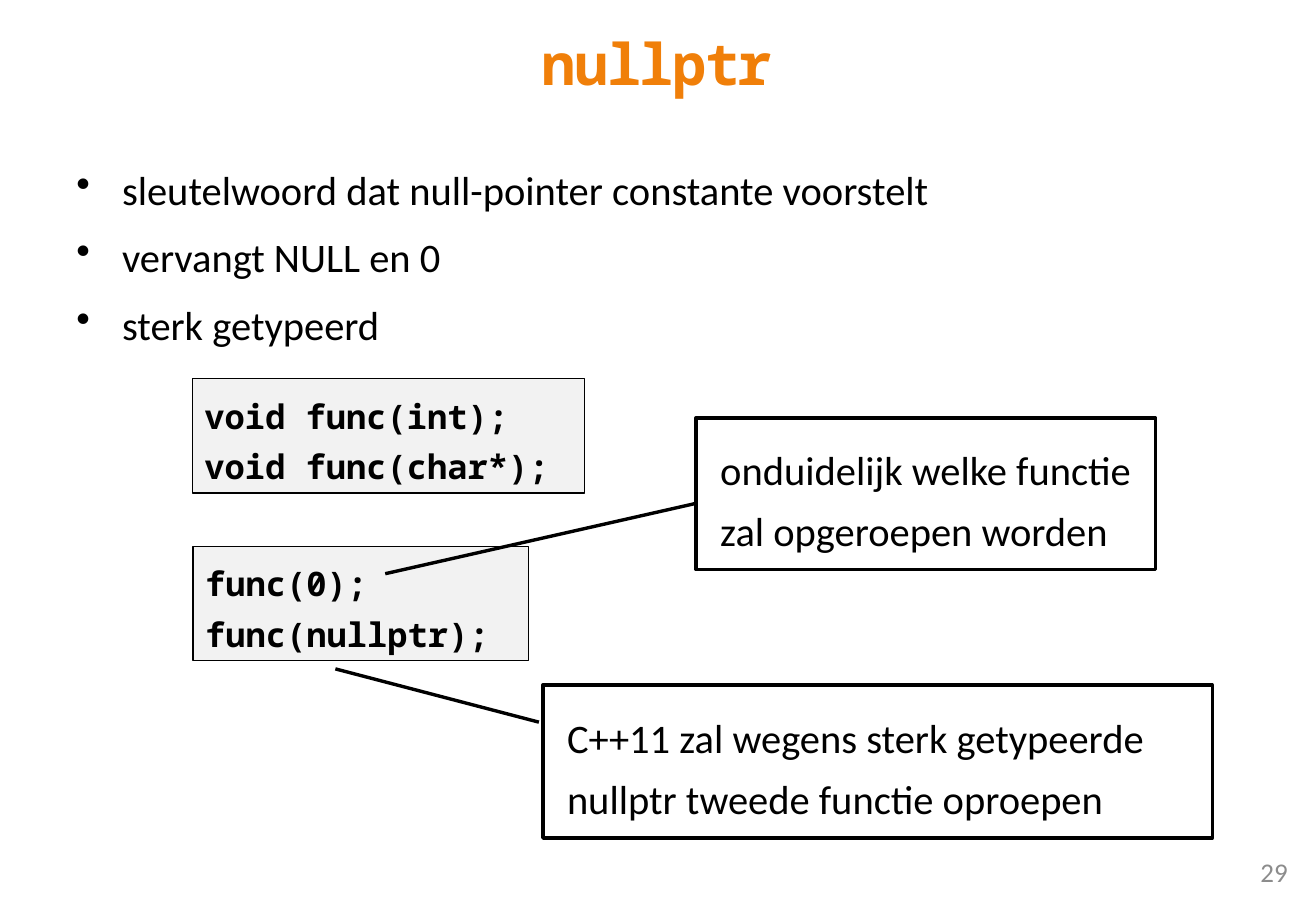
import pptx
import pptx.util
import pptx.dml.color
import pptx.enum.shapes
import pptx.enum.text
import pptx.oxml.ns
import lxml.etree

Pt = pptx.util.Pt
Shape = pptx.enum.shapes.MSO_SHAPE
Align = pptx.enum.text.PP_ALIGN
Anchor = pptx.enum.text.MSO_ANCHOR
Fit = pptx.enum.text.MSO_AUTO_SIZE


def color(code):
    return pptx.dml.color.RGBColor.from_string(code)


def write(frame, *lines, font="Calibri", size=24, ink="000000", bold=False,
          align=Align.LEFT, anchor=Anchor.MIDDLE, lead=None, left=0, hang=0,
          mark=None, track=0):
    frame.word_wrap = True
    frame.auto_size = Fit.NONE
    frame.vertical_anchor = anchor
    for i, line in enumerate(lines):
        para = frame.add_paragraph() if i else frame.paragraphs[0]
        para.alignment = align
        para.space_before = para.space_after = Pt(0)
        if lead:
            para.line_spacing = Pt(lead)
        props = para._p.get_or_add_pPr()
        props.set("marL", str(Pt(left)))
        props.set("indent", str(Pt(-hang)))
        if mark:
            tag = pptx.oxml.ns.qn("a:buChar")
            lxml.etree.SubElement(props, tag).set("char", mark)
        run = para.add_run()
        run.text = line
        run.font.name = font
        run.font.size = Pt(size)
        run.font.bold = bold
        run.font.color.rgb = color(ink)
        if track:
            run._r.get_or_add_rPr().set("spc", str(track * 100))


class Deck:
    """Holds the style and the current slide, and draws each kind of element."""

    mono = "Noto Sans Mono"
    ink = "000000"

    def __init__(self, wide, high):
        self.file = pptx.Presentation()
        self.file.slide_width = Pt(wide)
        self.file.slide_height = Pt(high)
        self.slide = self.file.slides.add_slide(self.file.slide_layouts[5])

    def title(self, text, *box):
        head = self.slide.shapes.title
        head.left, head.top, head.width, head.height = map(Pt, box)
        write(head.text_frame, text, font=self.mono, size=34, ink="F07F09",
              bold=True, align=Align.CENTER, track=-1)

    def text(self, lines, *box, **form):
        area = self.slide.shapes.add_textbox(*map(Pt, box))
        write(area.text_frame, *lines, **form)

    def panel(self, kind, lines, box, fill, edge, **form):
        shape = self.slide.shapes.add_shape(kind, *map(Pt, box))
        shape.shadow.inherit = False
        shape.fill.solid()
        shape.fill.fore_color.rgb = color(fill)
        shape.line.color.rgb = color(self.ink)
        shape.line.width = Pt(edge)
        write(shape.text_frame, *lines, **form)
        return shape

    def code(self, lines, *box):
        self.panel(Shape.RECTANGLE, lines, box, "F2F2F2", 0.75,
                   font=self.mono, size=20, bold=True, lead=30)

    def callout(self, text, box, start, end):
        note = self.panel(Shape.LINE_CALLOUT_1, [text], box, "FFFFFF", 2,
                          lead=36, left=7.2)
        left, top, wide, high = box
        for i, (x, y) in enumerate((start, end)):
            note.adjustments[2 * i] = (y - top) / high
            note.adjustments[2 * i + 1] = (x - left) / wide


def main():
    deck = Deck(780, 540)
    deck.title("nullptr", 38.2, 9.4, 702.7, 55.4)
    deck.text(["sleutelwoord dat null-pointer constante voorstelt",
               "vervangt NULL en 0", "sterk getypeerd"],
              38.2, 82.8, 714.2, 378, anchor=Anchor.TOP, lead=40,
              left=27, hang=27, mark="•")
    deck.code(["void func(int);", "void func(char*);"], 114, 224.6, 232.6, 67.7)
    deck.code(["func(0);", "func(nullptr);"], 114.5, 324, 198.7, 67.7)
    deck.callout("onduidelijk welke functie zal opgeroepen worden",
                 (412.6, 247.7, 272.2, 90), (412, 298.5), (228.3, 340.1))
    deck.callout("C++11 zal wegens sterk getypeerde nullptr tweede functie oproepen",
                 (321.8, 406.1, 396.7, 90.7), (319.4, 428.1), (279.8 - 81, 397 - 0.5))
    deck.text(["29"], 588.2, 502.6, 182.2, 28.8, size=16, ink="8C8C8C",
              align=Align.RIGHT)
    deck.file.save("out.pptx")


if __name__ == "__main__":
    main()
